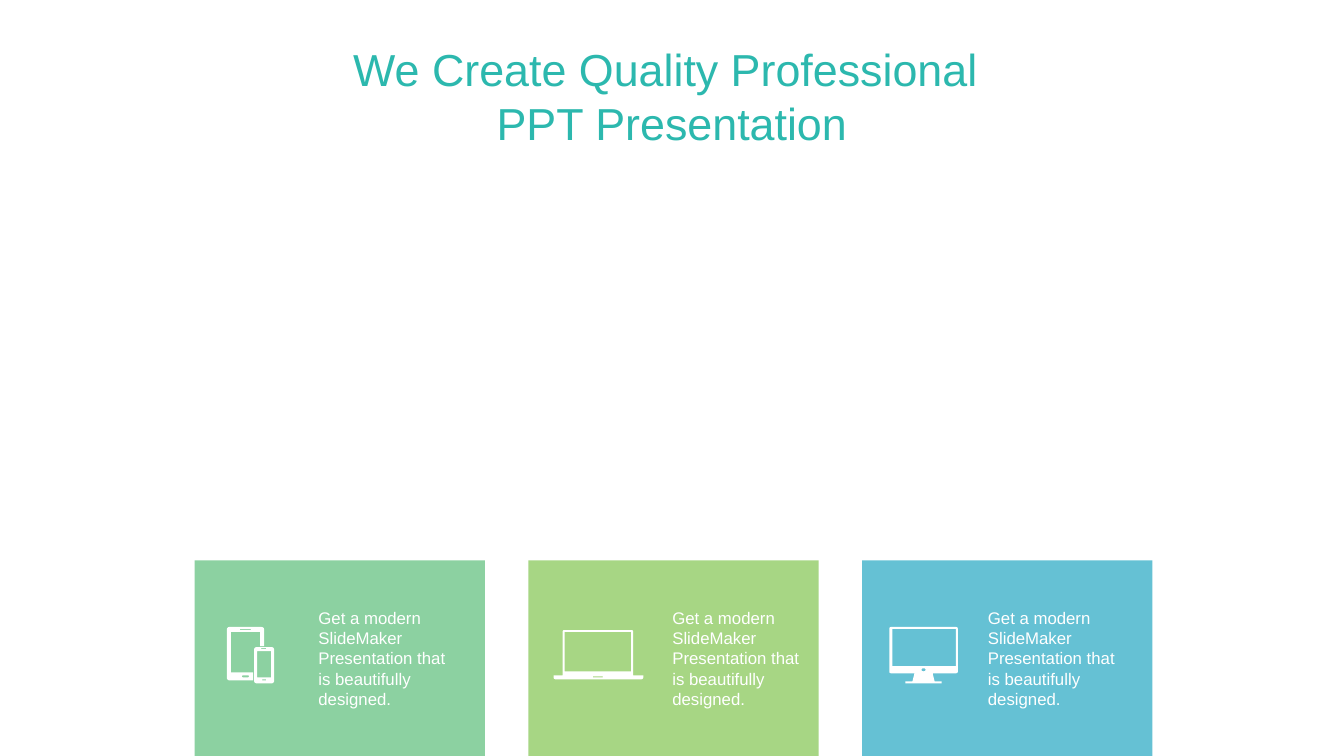
from dataclasses import dataclass
from typing import NamedTuple

from lxml.etree import SubElement
from pptx import Presentation
from pptx.dml.color import RGBColor
from pptx.enum.shapes import MSO_SHAPE as Preset
from pptx.enum.text import MSO_ANCHOR as Anchor, PP_ALIGN as Align
from pptx.oxml.ns import qn
from pptx.util import Inches, Pt


@dataclass(frozen=True)
class Theme:
    font: str = "Arial"
    white: str = "FFFFFF"
    teal: str = "2CB8AE"
    green: str = "5CBE7A"
    lime: str = "82C650"
    blue: str = "24A8C2"
    title_size: int = 32
    caption_size: int = 12
    opacity: int = 70


class Corner(NamedTuple):
    x: float
    y: float
    radius: float = 0


Outline = list[Corner]


@dataclass(frozen=True)
class Card:
    color: str
    caption_left: float
    icon: list[Outline]


THEME = Theme()
TITLE = ["We Create Quality Professional ", "PPT Presentation"]
CAPTION = "Get a modern SlideMaker Presentation that is beautifully designed."
CARD_LEFT, CARD_TOP, CARD_PITCH = 1.93, 5.56, 3.31
CARD_WIDTH, CARD_HEIGHT = 2.88, 1.94


# Icon outlines: solids run clockwise, holes the other way
def solid(left: float, top: float, right: float, bottom: float, radius: float = 0) -> Outline:
    return [Corner(left, top, radius), Corner(right, top, radius),
            Corner(right, bottom, radius), Corner(left, bottom, radius)]


def hole(left: float, top: float, right: float, bottom: float, radius: float = 0) -> Outline:
    return solid(left, top, right, bottom, radius)[::-1]


MOBILES = [
    # Tablet, cut away behind the phone
    [Corner(2.25, 6.22, 0.03), Corner(2.62, 6.22, 0.03), Corner(2.62, 6.41),
     Corner(2.58, 6.41), Corner(2.58, 6.27), Corner(2.29, 6.27), Corner(2.29, 6.67),
     Corner(2.51, 6.67), Corner(2.51, 6.75), Corner(2.25, 6.75, 0.03)],
    hole(2.38, 6.24, 2.49, 6.25),
    hole(2.4, 6.7, 2.47, 6.72, 0.01),
    # Phone
    solid(2.52, 6.42, 2.72, 6.78, 0.03),
    hole(2.55, 6.46, 2.69, 6.72),
    hole(2.59, 6.43, 2.64, 6.44),
    hole(2.6, 6.74, 2.64, 6.75),
]
LAPTOP = [
    [Corner(5.58, 6.25, 0.02), Corner(6.28, 6.25, 0.02), Corner(6.28, 6.7),
     Corner(6.38, 6.7), Corner(6.38, 6.74, 0.03), Corner(5.49, 6.74, 0.03),
     Corner(5.49, 6.7), Corner(5.58, 6.7)],
    hole(5.6, 6.27, 6.26, 6.66),
    hole(5.88, 6.71, 5.98, 6.72),
]
MONITOR = [
    [Corner(8.82, 6.22, 0.02), Corner(9.5, 6.22, 0.02), Corner(9.5, 6.68, 0.02),
     Corner(9.25, 6.68), Corner(9.27, 6.76), Corner(9.34, 6.76), Corner(9.34, 6.78),
     Corner(8.98, 6.78), Corner(8.98, 6.76), Corner(9.05, 6.76), Corner(9.07, 6.68),
     Corner(8.82, 6.68, 0.02)],
    hole(8.85, 6.24, 9.48, 6.61),
    hole(9.14, 6.63, 9.18, 6.66, 0.02),
]
CARDS = [Card(THEME.green, 3.06, MOBILES), Card(THEME.lime, 6.57, LAPTOP),
         Card(THEME.blue, 9.7, MONITOR)]


def paint(shape, color: str, opacity: int = 100) -> None:
    shape.shadow.inherit = False
    shape.line.fill.background()
    shape.fill.solid()
    shape.fill.fore_color.rgb = RGBColor.from_string(color)
    if opacity < 100:
        tint = shape.fill._xPr.find(qn("a:solidFill"))[0]
        SubElement(tint, qn("a:alpha")).set("val", str(opacity * 1000))


def add_panel(page, left: float, top: float, width: float, height: float, color: str):
    panel = page.shapes.add_shape(
        Preset.RECTANGLE, Inches(left), Inches(top), Inches(width), Inches(height))
    paint(panel, color, THEME.opacity)
    return panel


def rounded(outline: Outline, steps: int = 6) -> list[tuple[int, int]]:
    """Replace each rounded corner by points along a quadratic curve."""
    points = []
    for index, corner in enumerate(outline):
        if not corner.radius:
            points.append((Inches(corner.x), Inches(corner.y)))
            continue
        ends = []
        for other in (outline[index - 1], outline[(index + 1) % len(outline)]):
            dx, dy = other.x - corner.x, other.y - corner.y
            share = min(0.5, corner.radius / (dx * dx + dy * dy) ** 0.5)
            ends.append((dx * share, dy * share))
        for step in range(steps + 1):
            after = (step / steps) ** 2
            before = (1 - step / steps) ** 2
            points.append((Inches(corner.x + before * ends[0][0] + after * ends[1][0]),
                           Inches(corner.y + before * ends[0][1] + after * ends[1][1])))
    return points


def add_icon(page, outlines: list[Outline]) -> None:
    first, *others = [rounded(outline) for outline in outlines]
    builder = page.shapes.build_freeform(*first[0])
    builder.add_line_segments(first[1:])
    for points in others:
        builder.move_to(*points[0])
        builder.add_line_segments(points[1:])
    paint(builder.convert_to_shape(), THEME.white)


def write(box, lines: list[str], size: int, color: str, align: Align, frame_format: dict) -> None:
    frame = box.text_frame
    for name, value in frame_format.items():
        setattr(frame, name, value)
    span_format = {"name": THEME.font, "size": Pt(size)}
    for index, line in enumerate(lines):
        para = frame.add_paragraph() if index else frame.paragraphs[0]
        para.alignment = align
        span = para.add_run()
        span.text = line
        for name, value in span_format.items():
            setattr(span.font, name, value)
        span.font.color.rgb = RGBColor.from_string(color)


def main() -> None:
    deck = Presentation()
    deck.slide_width, deck.slide_height = Inches(13.33), Inches(7.5)
    page = deck.slides.add_slide(deck.slide_layouts[6])

    # Cards with icon and caption
    for index, card in enumerate(CARDS):
        add_panel(page, CARD_LEFT + index * CARD_PITCH, CARD_TOP,
                  CARD_WIDTH, CARD_HEIGHT, card.color)
        add_icon(page, card.icon)
        box = page.shapes.add_textbox(
            Inches(card.caption_left), Inches(5.98), Inches(1.53), Inches(1.11))
        write(box, [CAPTION], THEME.caption_size, THEME.white, Align.LEFT,
              {"word_wrap": True})

    # Title band
    band = add_panel(page, 0, 0.41, 13.33, 1.08, THEME.white)
    write(band, TITLE, THEME.title_size, THEME.teal, Align.CENTER,
          {"word_wrap": True, "vertical_anchor": Anchor.MIDDLE,
           "margin_left": Inches(0.04), "margin_right": Inches(0.04),
           "margin_top": 0, "margin_bottom": 0})

    deck.save("out.pptx")


if __name__ == "__main__":
    main()
